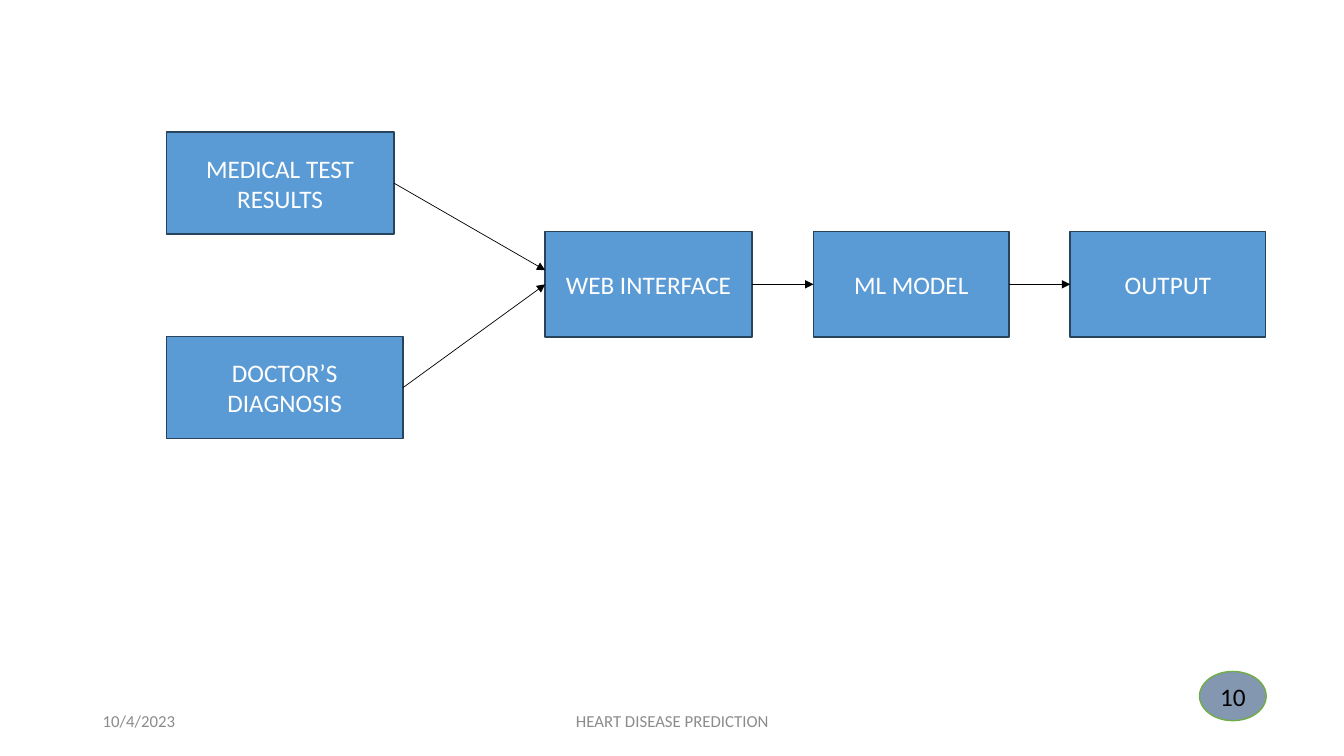
from pptx import Presentation
from pptx.dml.color import RGBColor
from pptx.enum.shapes import MSO_CONNECTOR as Line, MSO_SHAPE as Shape
from pptx.enum.text import MSO_ANCHOR as Anchor, PP_ALIGN as Align
from pptx.oxml.ns import qn
from pptx.util import Cm, Pt
from lxml.etree import SubElement

BLUE = RGBColor(0x5B, 0x9B, 0xD5)
NAVY = RGBColor(0x28, 0x44, 0x5D)
SLATE = RGBColor(0x84, 0x97, 0xB0)
GREEN = RGBColor(0x70, 0xAD, 0x47)
GRAY = RGBColor(0x8C, 0x8C, 0x8C)
WHITE = RGBColor(0xFF, 0xFF, 0xFF)
BLACK = RGBColor(0, 0, 0)


def write(shape, text, size, color, align=Align.CENTER):
    frame = shape.text_frame
    frame.word_wrap = True
    frame.vertical_anchor = Anchor.MIDDLE
    para = frame.paragraphs[0]
    para.alignment = align
    run = para.add_run()
    run.text = text
    run.font.name = "Calibri"
    run.font.size = Pt(size)
    run.font.color.rgb = color


def add_node(slide, kind, box, text, fill, edge, color):
    node = slide.shapes.add_shape(kind, *map(Cm, box))
    node.shadow.inherit = False
    node.fill.solid()
    node.fill.fore_color.rgb = fill
    node.line.color.rgb = edge
    node.line.width = Pt(1)
    write(node, text, 18, color)
    return node


def add_arrow(slide, start, end, drop=None):
    """Run from the right side of start to the left side of end, or to a height on it."""
    arrow = slide.shapes.add_connector(Line.STRAIGHT, 0, 0, 0, 0)
    arrow.begin_connect(start, 3)
    if drop is None:
        arrow.end_connect(end, 1)
    else:
        arrow.end_x, arrow.end_y = end.left, end.top + Cm(drop)
    arrow.line.color.rgb = BLACK
    arrow.line.width = Pt(0.5)
    SubElement(arrow.line._get_or_add_ln(), qn("a:tailEnd"), type="triangle")
    SubElement(arrow._element.spPr, qn("a:effectLst"))


def draw_flow(slide, left, top):
    def step(text, x, y, width, height):
        box = (left + x, top + y, width, height)
        return add_node(slide, Shape.RECTANGLE, box, text, BLUE, NAVY, WHITE)

    # Inputs
    tests = step("MEDICAL TEST RESULTS", 0, 0, 5.74, 2.57)
    doctor = step("DOCTOR’S DIAGNOSIS", 0, 5.15, 5.97, 2.57)

    # Processing row
    row, tall = 2.51, 2.65
    web = step("WEB INTERFACE", 9.55, row, 5.21, tall)
    model = step("ML MODEL", 16.31, row, 4.93, tall)
    output = step("OUTPUT", 22.78, row, 4.93, tall)

    # Arrows
    add_arrow(slide, tests, web, drop=0.97)
    for start, end in ((doctor, web), (web, model), (model, output)):
        add_arrow(slide, start, end)


def draw_footer(slide, left, top, height):
    # Date and title
    for text, x, width, align in (
        ("10/4/2023", 0, 7.62, Align.LEFT),
        ("HEART DISEASE PREDICTION", 8.89, 11.43, Align.CENTER),
    ):
        label = slide.shapes.add_textbox(Cm(left + x), Cm(top), Cm(width), Cm(height))
        write(label, text, 12, GRAY, align)

    # Page number
    box = (left + 27.89, top - 0.73, 1.68, 1.24)
    badge = add_node(slide, Shape.OVAL, box, "10", SLATE, GREEN, BLACK)
    frame = badge.text_frame
    frame.margin_left = frame.margin_right = 0
    frame.margin_top = frame.margin_bottom = 0


def main():
    deck = Presentation()
    deck.slide_width, deck.slide_height = Cm(33.87), Cm(19.05)
    slide = deck.slides.add_slide(deck.slide_layouts[6])
    draw_flow(slide, 4.19, 3.33)
    draw_footer(slide, 2.34, 17.65, 1.02)
    deck.save("out.pptx")


if __name__ == "__main__":
    main()
